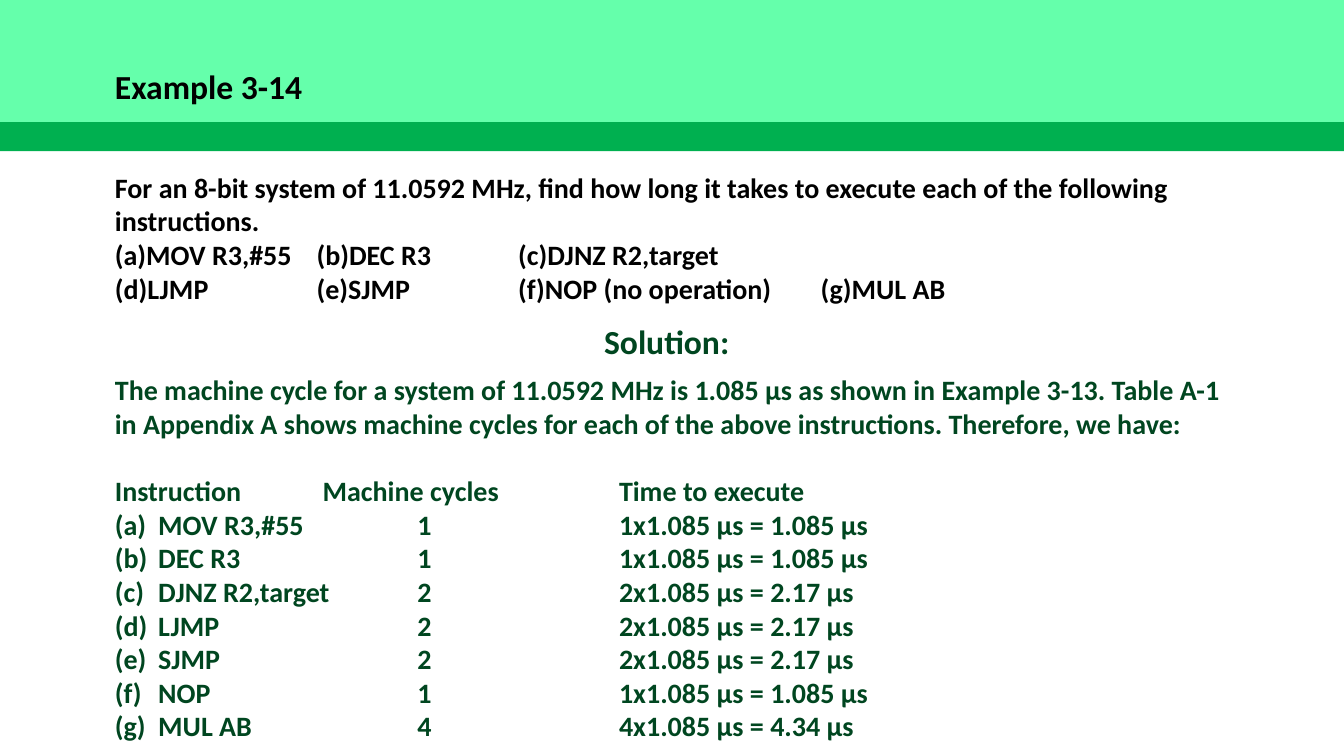
from pptx import Presentation, util as u
from pptx.dml.color import RGBColor
from pptx.enum import shapes, text
from pptx.oxml.ns import qn
from lxml import etree

prs = Presentation()
prs.slide_width, prs.slide_height = u.Inches(13.33), u.Inches(7.5)
s = prs.slides.add_slide(prs.slide_layouts[6])

# Grid: 128 columns by 75 rows
COL, ROW = prs.slide_width / 128, prs.slide_height / 75
BLACK, GREEN = "000000", "004620"


def rgb(value):
    return RGBColor.from_string(value)


def add_text(lines, left, top, width, height, size=20, color=BLACK, align=None):
    """Each line is (words, tab stops in inches, points of space before)."""
    box = s.shapes.add_textbox(int(left * COL), int(top * ROW),
                               int(width * COL), int(height * ROW))
    tf = box.text_frame
    tf.word_wrap = True
    tf.auto_size = text.MSO_AUTO_SIZE.SHAPE_TO_FIT_TEXT
    for i, (words, tabs, before) in enumerate(lines):
        p = tf.paragraphs[0] if i == 0 else tf.add_paragraph()
        p.alignment = align
        if before:
            p.space_before = u.Pt(before)
        if tabs:
            tab_list = etree.SubElement(p._p.get_or_add_pPr(), qn("a:tabLst"))
            for pos in tabs:
                etree.SubElement(tab_list, qn("a:tab"), pos=str(u.Inches(pos)), algn="l")
        r = p.add_run()
        r.text = words
        r.font.name, r.font.size, r.font.bold = "Calibri", u.Pt(size), True
        r.font.color.rgb = rgb(color)


# Header bands
for rows, color in ((15, "00B050"), (12.1, "65FFAB")):
    band = s.shapes.add_shape(shapes.MSO_SHAPE.RECTANGLE, 0, 0,
                              prs.slide_width, int(rows * ROW))
    band.shadow.inherit = False
    band.fill.solid()
    band.fill.fore_color.rgb = rgb(color)
    band.line.fill.background()

# Title
add_text([("Example 3-14", (), 0)], 10, 6, 108, 5, size=24)

# Question
choice_tabs = (2, 4, 7)
add_text([
    ("For an 8-bit system of 11.0592 MHz, find how long it takes to execute "
     "each of the following instructions.", (), 0),
    ("(a)MOV R3,#55\t(b)DEC R3\t(c)DJNZ R2,target", choice_tabs, 0),
    ("(d)LJMP\t(e)SJMP\t(f)NOP (no operation)\t(g)MUL AB", choice_tabs, 0),
], 10, 16.4, 114, 14.5)

# Solution
answer = [
    ("The machine cycle for a system of 11.0592 MHz is 1.085 µs as shown in "
     "Example 3-13. Table A-1 in Appendix A shows machine cycles for each of "
     "the above instructions. Therefore, we have:", (), 0),
    ("Instruction\tMachine cycles\tTime to execute", (2.06, 5), 24),
]
timings = [
    ("MOV R3,#55", 1, "1.085"),
    ("DEC R3", 1, "1.085"),
    ("DJNZ R2,target", 2, "2.17"),
    ("LJMP", 2, "2.17"),
    ("SJMP", 2, "2.17"),
    ("NOP", 1, "1.085"),
    ("MUL AB", 4, "4.34"),
]
for letter, (name, cycles, time) in zip("abcdefg", timings):
    answer.append((f"({letter})\t{name}\t{cycles}\t{cycles}x1.085 µs = {time} µs",
                   (0.43, 3, 5), 0))
add_text(answer, 10, 36.5, 108, 38.7, color=GREEN)
add_text([("Solution:", (), 0)], 0, 31.3, 127, 5, size=24, color=GREEN,
         align=text.PP_ALIGN.CENTER)

prs.save("out.pptx")
